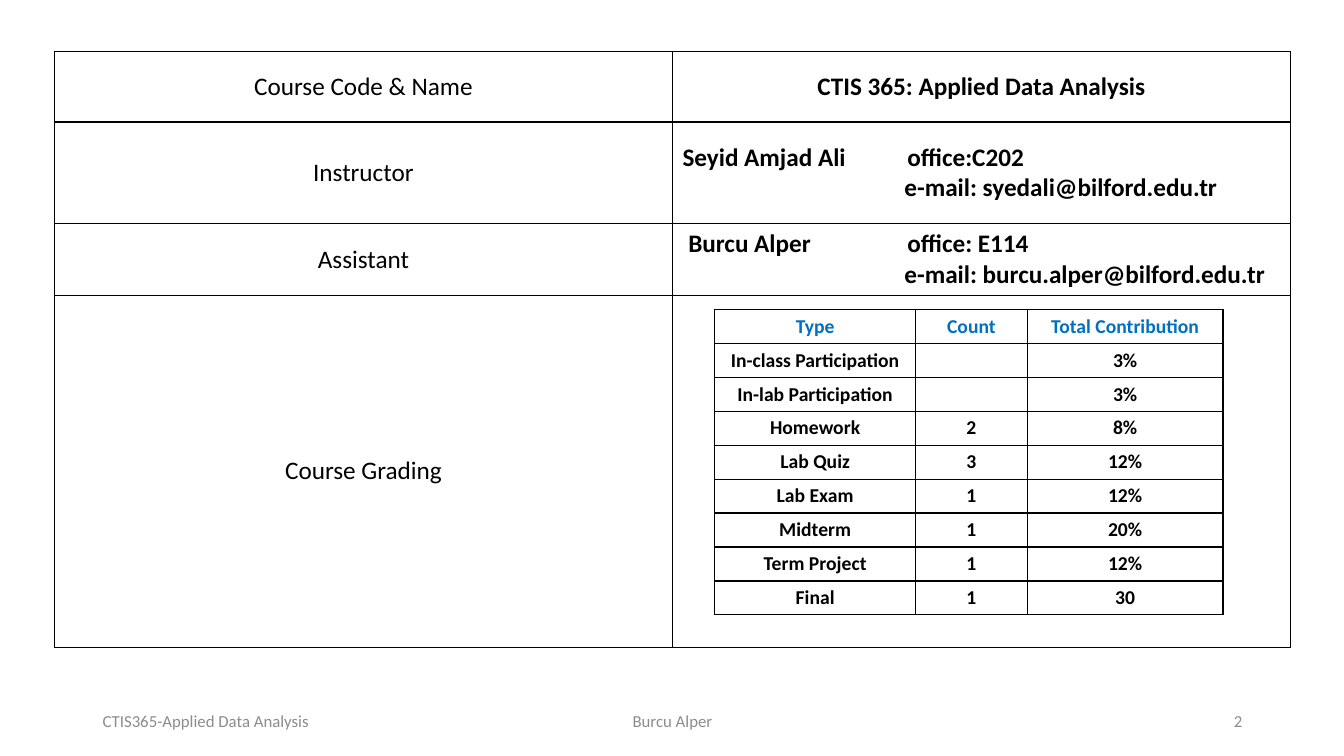
import pptx
import pptx.dml.color
import pptx.enum.text
import pptx.oxml.ns
import pptx.util
from lxml import etree

Inches = pptx.util.Inches
Align = pptx.enum.text.PP_ALIGN
MIDDLE = pptx.enum.text.MSO_ANCHOR.MIDDLE
BLACK = pptx.dml.color.RGBColor(0x00, 0x00, 0x00)
BLUE = pptx.dml.color.RGBColor(0x00, 0x70, 0xC0)
GRAY = pptx.dml.color.RGBColor(0x8C, 0x8C, 0x8C)
FONT = "Calibri"

COURSE_ROW_HEIGHTS = [0.7, 1.01, 0.71, 3.49]
COURSE_LABELS = ["Course Code & Name", "Instructor", "Assistant", "Course Grading"]
COURSE_TITLE = "CTIS 365: Applied Data Analysis"
CONTACTS = [
    ("Seyid Amjad Ali", "office:C202", "e-mail: syedali@bilford.edu.tr"),
    (" Burcu Alper", "office: E114", "e-mail: burcu.alper@bilford.edu.tr"),
]
GRADING = [
    ("Type", "Count", "Total Contribution"),
    ("In-class Participation", "", "3%"),
    ("In-lab Participation", "", "3%"),
    ("Homework", "2", "8%"),
    ("Lab Quiz", "3", "12%"),
    ("Lab Exam", "1", "12%"),
    ("Midterm", "1", "20%"),
    ("Term Project", "1", "12%"),
    ("Final", "1", "30"),
]


def write(paragraph, text, size, color=BLACK, bold=False, align=Align.CENTER):
    """Add one formatted run to a paragraph."""
    paragraph.alignment = align
    run = paragraph.add_run()
    run.text = text
    run.font.name = FONT
    run.font.size = pptx.util.Pt(size)
    run.font.bold = bold
    run.font.color.rgb = color


def add_element(parent, tag, **attributes):
    """Append a DrawingML element and return it."""
    return etree.SubElement(parent, pptx.oxml.ns.qn(tag), attributes)


def format_cell(cell):
    """Give a cell black borders, no fill and middle anchoring."""
    cell.vertical_anchor = MIDDLE
    properties = cell._tc.get_or_add_tcPr()
    for side in ("a:lnL", "a:lnR", "a:lnT", "a:lnB"):
        line = add_element(properties, side, w=str(pptx.util.Pt(1)))
        fill = add_element(line, "a:solidFill")
        add_element(fill, "a:srgbClr", val=str(BLACK))
    cell.fill.background()


def add_plain_table(slide, left, top, widths, heights):
    """Add a ruled table with the given column widths and row heights."""
    frame = slide.shapes.add_table(
        len(heights), len(widths), Inches(left), Inches(top),
        Inches(sum(widths)), Inches(sum(heights)))
    table = frame.table
    table.first_row = False
    table.horz_banding = False
    for column, width in zip(table.columns, widths):
        column.width = Inches(width)
    for row, height in zip(table.rows, heights):
        row.height = Inches(height)
    for cell in table.iter_cells():
        format_cell(cell)
    return table


def fill_contact(cell, name, office, email):
    """Write a name with its office at a tab stop and its e-mail indented below."""
    first = cell.text_frame.paragraphs[0]
    write(first, f"{name}\t{office}", 18, bold=True, align=Align.LEFT)
    tabs = add_element(first._p.get_or_add_pPr(), "a:tabLst")
    add_element(tabs, "a:tab", pos=str(Inches(2.23)), algn="l")
    second = cell.text_frame.add_paragraph()
    write(second, email, 18, bold=True, align=Align.LEFT)
    second._p.get_or_add_pPr().set("marL", str(Inches(2.2)))


def add_course_table(slide, left, top, width):
    """Add the course overview table."""
    table = add_plain_table(slide, left, top, [width / 2] * 2, COURSE_ROW_HEIGHTS)
    for row, label in enumerate(COURSE_LABELS):
        write(table.cell(row, 0).text_frame.paragraphs[0], label, 18)
    write(table.cell(0, 1).text_frame.paragraphs[0], COURSE_TITLE, 18, bold=True)
    for row, contact in enumerate(CONTACTS, start=1):
        fill_contact(table.cell(row, 1), *contact)


def add_grading_table(slide, left, top, height):
    """Add the grading table with equal rows and a blue heading."""
    row_heights = [height / len(GRADING)] * len(GRADING)
    table = add_plain_table(slide, left, top, [1.99, 1.11, 1.94], row_heights)
    for row, values in enumerate(GRADING):
        for column, value in enumerate(values):
            cell = table.cell(row, column)
            cell.margin_top = cell.margin_bottom = 0
            if value:
                color = BLACK if row else BLUE
                write(cell.text_frame.paragraphs[0], value, 14, color, bold=True)


def add_footer(slide, top, height):
    """Add the course name, author and slide number along the bottom."""
    for left, width, text, align in [
        (0.92, 3, "CTIS365-Applied Data Analysis", Align.LEFT),
        (4.42, 4.5, "Burcu Alper", Align.CENTER),
        (9.42, 3, "2", Align.RIGHT),
    ]:
        box = slide.shapes.add_textbox(
            Inches(left), Inches(top), Inches(width), Inches(height))
        box.text_frame.word_wrap = True
        box.text_frame.vertical_anchor = MIDDLE
        write(box.text_frame.paragraphs[0], text, 12, GRAY, align=align)


def main():
    """Build and save the course information slide."""
    presentation = pptx.Presentation()
    presentation.slide_width = Inches(13.33)
    presentation.slide_height = Inches(7.5)
    slide = presentation.slides.add_slide(presentation.slide_layouts[6])
    add_course_table(slide, 0.54, 0.51, 12.26)
    add_grading_table(slide, 7.09, 3.07, 3.03)
    add_footer(slide, 6.95, 0.4)
    presentation.save("out.pptx")


if __name__ == "__main__":
    main()
